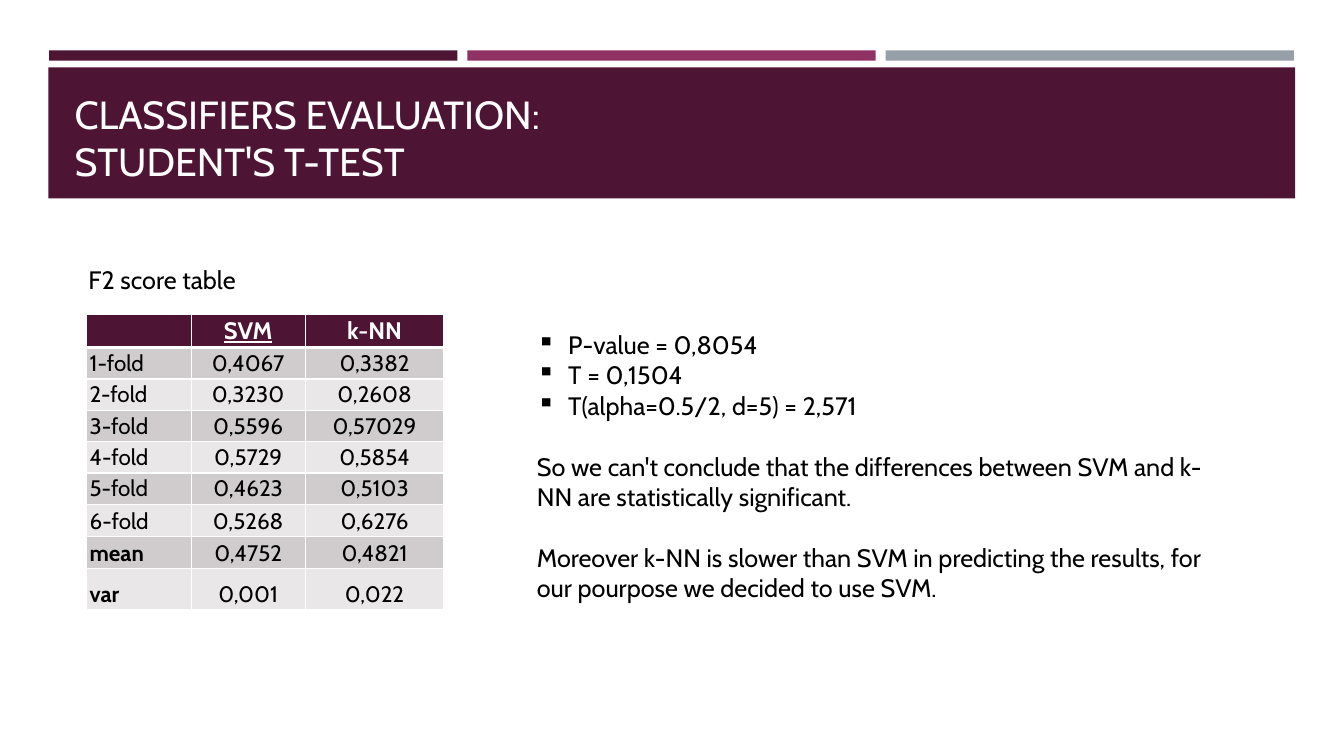
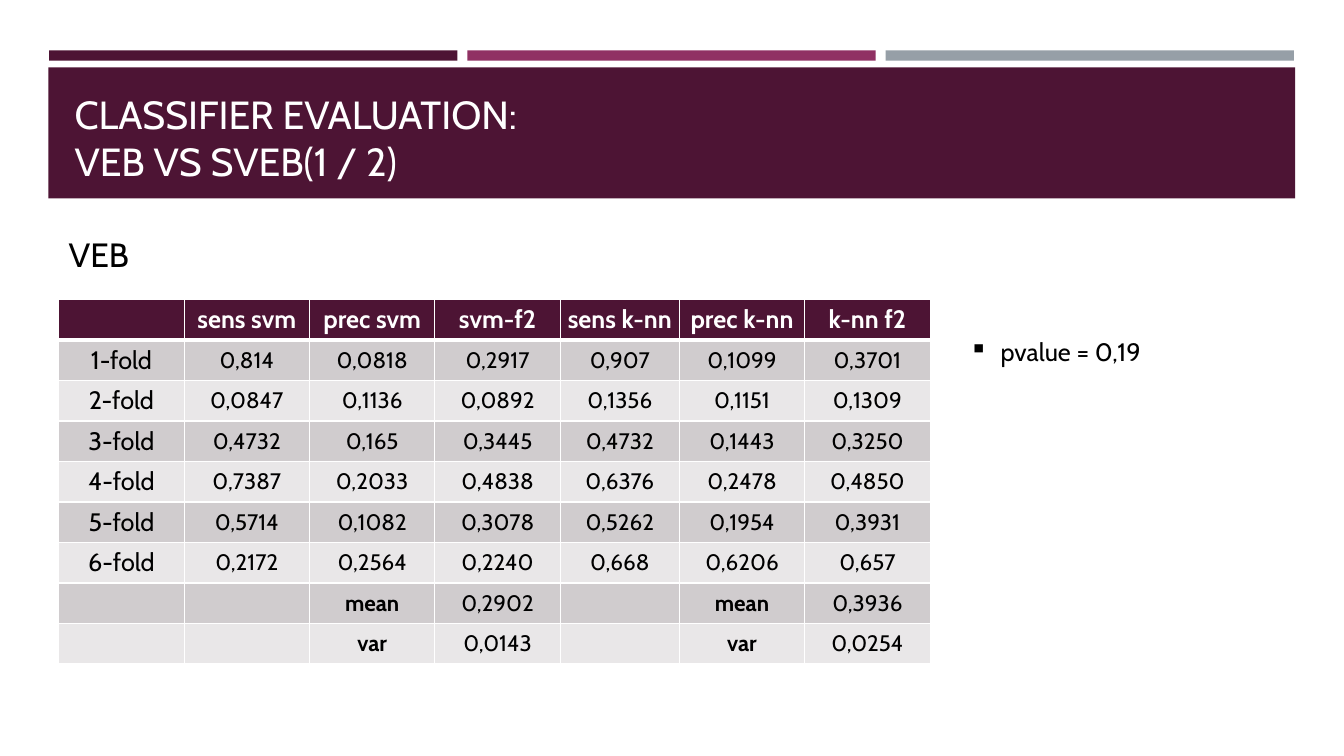
"""Build two classifier evaluation slides with score tables."""
from dataclasses import dataclass

from lxml.etree import SubElement
from pptx import Presentation
from pptx.dml.color import RGBColor
from pptx.enum.shapes import MSO_SHAPE as Preset
from pptx.enum.text import MSO_ANCHOR as Anchor, PP_ALIGN as Align
from pptx.oxml.ns import qn
from pptx.presentation import Presentation as Deck
from pptx.slide import Slide
from pptx.table import _Cell as Cell
from pptx.text.text import _Paragraph as Paragraph
from pptx.util import Cm, Pt


@dataclass(frozen=True)
class Theme:
    font: str = "Cabin"
    plum: str = "4D1434"
    magenta: str = "903163"
    gray: str = "969FA7"
    white: str = "FFFFFF"
    black: str = "000000"
    odd_row: str = "D0CCCE"
    even_row: str = "E9E7E8"
    title_size: float = 28
    caption_size: float = 24
    body_size: float = 18
    score_size: float = 16
    paragraph_gap: float = 22
    thin_border: float = 1
    thick_border: float = 3


@dataclass(frozen=True)
class Box:
    left: float
    top: float
    width: float
    height: float

    def lengths(self) -> tuple[Cm, Cm, Cm, Cm]:
        return Cm(self.left), Cm(self.top), Cm(self.width), Cm(self.height)


@dataclass(frozen=True)
class Line:
    text: str
    bullet: bool = False


@dataclass(frozen=True)
class ScoreTable:
    left: float
    top: float
    columns: list[float]
    heights: list[float]
    rows: list[list[str]]
    header_size: float
    label_size: float
    label_align: Align
    anchor: Anchor
    underlined: str = ""


THEME = Theme()
BAND = Box(1.22, 1.7, 31.42, 3.3)
TITLE = Box(1.63, 1.96, 30.63, 2.82)
STRIPE = Box(1.24, 1.27, 10.29, 0.26)
STRIPE_PITCH = 10.54
BULLET_INDENT = Cm(0.79)
SUMMARY_LABELS = {"mean", "var"}

STUDENT_TABLE = ScoreTable(
    left=2.18, top=7.92, columns=[2.64, 2.87, 3.5],
    heights=[0.84] + [0.79] * 5 + [0.81] * 2 + [1.04],
    rows=[
        ["", "SVM", "k-NN"],
        ["1-fold", "0,4067", "0,3382"],
        ["2-fold", "0,3230", "0,2608"],
        ["3-fold", "0,5596", "0,57029"],
        ["4-fold", "0,5729", "0,5854"],
        ["5-fold", "0,4623", "0,5103"],
        ["6-fold", "0,5268", "0,6276"],
        ["mean", "0,4752", "0,4821"],
        ["var", "0,001", "0,022"],
    ],
    header_size=17, label_size=THEME.score_size, label_align=Align.LEFT,
    anchor=Anchor.BOTTOM, underlined="SVM",
)
VEB_TABLE = ScoreTable(
    left=1.48, top=7.55, columns=[3.16] * 4 + [3.0] + [3.16] * 2,
    heights=[1.02] * 9,
    rows=[
        ["", "sens svm", "prec svm", "svm-f2", "sens k-nn", "prec k-nn", "k-nn f2"],
        ["1-fold", "0,814", "0,0818", "0,2917", "0,907", "0,1099", "0,3701"],
        ["2-fold", "0,0847", "0,1136", "0,0892", "0,1356", "0,1151", "0,1309"],
        ["3-fold", "0,4732", "0,165", "0,3445", "0,4732", "0,1443", "0,3250"],
        ["4-fold", "0,7387", "0,2033", "0,4838", "0,6376", "0,2478", "0,4850"],
        ["5-fold", "0,5714", "0,1082", "0,3078", "0,5262", "0,1954", "0,3931"],
        ["6-fold", "0,2172", "0,2564", "0,2240", "0,668", "0,6206", "0,657"],
        ["", "", "mean", "0,2902", "", "mean", "0,3936"],
        ["", "", "var", "0,0143", "", "var", "0,0254"],
    ],
    header_size=THEME.body_size, label_size=THEME.body_size,
    label_align=Align.CENTER, anchor=Anchor.MIDDLE,
)
CONCLUSIONS = [
    Line("P-value = 0,8054", bullet=True),
    Line("T = 0,1504", bullet=True),
    Line("T(alpha=0.5/2, d=5) = 2,571", bullet=True),
    Line("So we can't conclude that the differences between SVM and k-NN "
         "are statistically significant."),
    Line("Moreover k-NN is slower than SVM in predicting the results, "
         "for our pourpose we decided to use SVM."),
]


def format_runs(paragraph: Paragraph, size: float, color: str,
                bold: bool = False, underline: bool = False) -> None:
    for run in paragraph.runs:
        run.font.name = THEME.font
        run.font.size = Pt(size)
        run.font.color.rgb = RGBColor.from_string(color)
        run.font.bold = bold
        run.font.underline = underline


def add_bullet(paragraph: Paragraph) -> None:
    properties = paragraph._p.get_or_add_pPr()
    properties.set("marL", str(BULLET_INDENT))
    properties.set("indent", str(-BULLET_INDENT))
    SubElement(properties, qn("a:buChar"), char="▪")


def add_text(slide: Slide, box: Box, lines: list[Line], size: float,
             color: str = THEME.black, anchor: Anchor = Anchor.TOP) -> None:
    text_frame = slide.shapes.add_textbox(*box.lengths()).text_frame
    text_frame.word_wrap = True
    text_frame.vertical_anchor = anchor
    for index, line in enumerate(lines):
        paragraph = text_frame.add_paragraph() if index else text_frame.paragraphs[0]
        paragraph.text = line.text
        if line.bullet:
            add_bullet(paragraph)
        elif index:
            paragraph.space_before = Pt(THEME.paragraph_gap)
        format_runs(paragraph, size, color)


def add_block(slide: Slide, box: Box, color: str) -> None:
    shape = slide.shapes.add_shape(Preset.RECTANGLE, *box.lengths())
    shape.shadow.inherit = False
    shape.fill.solid()
    shape.fill.fore_color.rgb = RGBColor.from_string(color)
    shape.line.fill.background()


def add_titled_slide(presentation: Deck, title: str) -> Slide:
    slide = presentation.slides.add_slide(presentation.slide_layouts[6])
    for index, color in enumerate((THEME.plum, THEME.magenta, THEME.gray)):
        left = STRIPE.left + index * STRIPE_PITCH
        add_block(slide, Box(left, STRIPE.top, STRIPE.width, STRIPE.height), color)
    add_block(slide, BAND, THEME.plum)
    add_text(slide, TITLE, [Line(title)], THEME.title_size, THEME.white, Anchor.BOTTOM)
    return slide


def set_borders(cell: Cell, row: int) -> None:
    thick_side = {0: "lnB", 1: "lnT"}.get(row)
    properties = cell._tc.get_or_add_tcPr()
    for side in ("lnL", "lnR", "lnT", "lnB"):
        width = THEME.thick_border if side == thick_side else THEME.thin_border
        border = SubElement(properties, qn(f"a:{side}"), w=str(Pt(width)))
        fill = SubElement(border, qn("a:solidFill"))
        SubElement(fill, qn("a:srgbClr"), val=THEME.white)


def fill_cell(cell: Cell, table: ScoreTable, row: int, column: int) -> None:
    text = table.rows[row][column]
    header = row == 0
    size = table.label_size if column == 0 else THEME.score_size
    size = table.header_size if header else size
    set_borders(cell, row)
    cell.fill.solid()
    color = THEME.plum if header else THEME.odd_row if row % 2 else THEME.even_row
    cell.fill.fore_color.rgb = RGBColor.from_string(color)
    cell.margin_left = cell.margin_right = Cm(0.08)
    cell.margin_top = cell.margin_bottom = Cm(0.05)
    cell.vertical_anchor = table.anchor
    cell.text_frame.text = text
    paragraph = cell.text_frame.paragraphs[0]
    paragraph.alignment = Align.CENTER if header or column else table.label_align
    format_runs(paragraph, size, THEME.white if header else THEME.black,
                bold=header or text in SUMMARY_LABELS,
                underline=header and bool(text) and text == table.underlined)
    if not text:
        SubElement(paragraph._p, qn("a:endParaRPr"), sz=str(int(THEME.score_size * 100)))


def add_score_table(slide: Slide, table: ScoreTable) -> None:
    box = Box(table.left, table.top, sum(table.columns), sum(table.heights))
    grid = slide.shapes.add_table(
        len(table.rows), len(table.columns), *box.lengths()).table
    grid.first_row = grid.horz_banding = False
    for column, width in zip(grid.columns, table.columns):
        column.width = Cm(width)
    for row, height in zip(grid.rows, table.heights):
        row.height = Cm(height)
    for row, texts in enumerate(table.rows):
        for column in range(len(texts)):
            fill_cell(grid.cell(row, column), table, row, column)


def main() -> None:
    presentation = Presentation()
    presentation.slide_width = Cm(33.87)
    presentation.slide_height = Cm(19.05)

    slide = add_titled_slide(presentation, "CLASSIFIERS EVALUATION:\vSTUDENT'S T-TEST")
    add_score_table(slide, STUDENT_TABLE)
    add_text(slide, Box(13.28, 8.18, 17.96, 7.19), CONCLUSIONS, THEME.body_size)
    add_text(slide, Box(1.98, 6.53, 7.62, 1.02), [Line("F2 score table")], THEME.body_size)

    slide = add_titled_slide(presentation, "CLASSIFIER EVALUATION:\vVEB VS SVEB(1 / 2)")
    add_score_table(slide, VEB_TABLE)
    add_text(slide, Box(1.48, 5.77, 7.62, 1.27), [Line("VEB")], THEME.caption_size)
    add_text(slide, Box(24.18, 8.36, 7.62, 1.02),
             [Line("pvalue = 0,19", bullet=True)], THEME.body_size)

    presentation.save("out.pptx")


if __name__ == "__main__":
    main()
